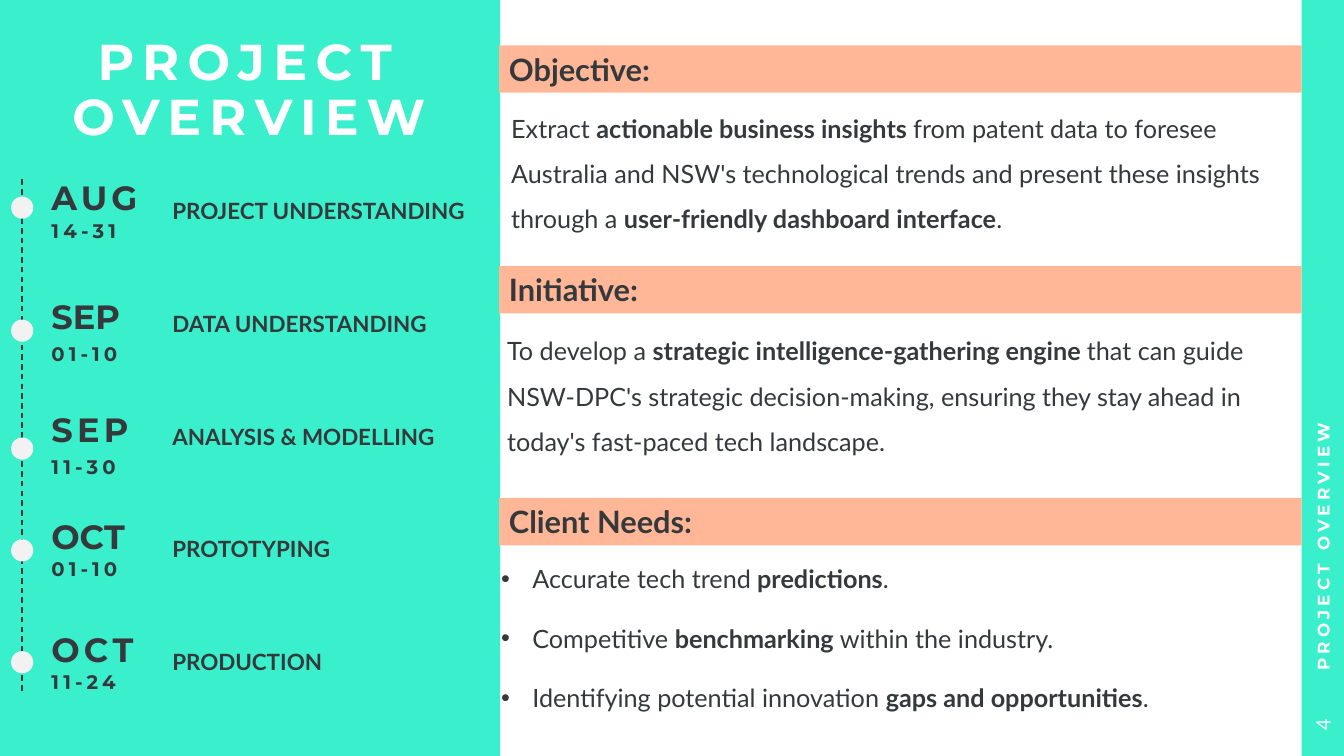
"""Build the project overview slide: timeline on the left, goals on the right."""
from lxml import etree
from pptx import Presentation
from pptx import util as u
from pptx.dml.color import RGBColor
from pptx.enum import dml, shapes, text
from pptx.oxml.ns import qn

MINT = RGBColor(0x3A, 0xEF, 0xCC)
PEACH = RGBColor(0xFF, 0xB7, 0x98)
INK = RGBColor(0x36, 0x39, 0x3B)
WHITE = RGBColor(0xFF, 0xFF, 0xFF)
PEARL = RGBColor(0xF2, 0xF2, 0xF2)
PX = 9144


def add_run(paragraph, words, size, font="Lato", color=INK, bold=False, spacing=0):
    run = paragraph.add_run()
    run.text = words
    run.font.size = u.Pt(size)
    run.font.name = font
    run.font.bold = bold
    run.font.color.rgb = color
    if spacing:
        run.font._element.set("spc", str(spacing * 100))


def add_block(left, top, width, height, fill, kind=shapes.MSO_SHAPE.RECTANGLE):
    block = slide.shapes.add_shape(kind, left * PX, top * PX, width * PX, height * PX)
    block.shadow.inherit = False
    block.fill.solid()
    block.fill.fore_color.rgb = fill
    block.line.fill.background()
    return block


deck = Presentation()
deck.slide_width, deck.slide_height = 1333 * PX, 750 * PX
slide = deck.slides.add_slide(deck.slide_layouts[5])

title = slide.shapes.title
for panel_left, panel_width in [(1291, 42), (0, 496)]:
    panel = add_block(panel_left, 0, panel_width, 750, MINT)
    title._element.addprevious(panel._element)

title.left, title.top, title.width, title.height = 42 * PX, 37 * PX, 410 * PX, 123 * PX
heading = title.text_frame
heading.auto_size = text.MSO_AUTO_SIZE.NONE
heading.vertical_anchor = text.MSO_ANCHOR.TOP
heading.margin_left = heading.margin_top = heading.margin_right = heading.margin_bottom = 0
heading_line = heading.paragraphs[0]
heading_line.alignment = text.PP_ALIGN.CENTER
heading_line.line_spacing = 0.9
add_run(heading_line, "PROJECT", 36, "Montserrat", WHITE, True, 6)
heading_line.add_line_break()
add_run(heading_line, "OVERVIEW", 36, "Montserrat", WHITE, True, 6)

sections = [
    ("Objective:", 45, (507, 97, 748, 158), False, [
        [("Extract ", False), ("actionable business insights ", True),
         ("from patent data to foresee Australia and NSW's technological trends "
          "and present these insights through a ", False),
         ("user-friendly dashboard interface", True), (".", False)]]),
    ("Initiative:", 264, (503, 318, 748, 179), False, [
        [("To develop a ", False), ("strategic intelligence-gathering engine ", True),
         ("that can guide NSW-DPC's strategic decision-making, ensuring they stay "
          "ahead in today's fast-paced tech landscape.", False)]]),
    ("Client Needs:", 494, (497, 544, 748, 168), True, [
        [("Accurate tech trend", False), (" predictions", True), (".", False)],
        [("Competitive ", False), ("benchmarking", True), (" within the industry.", False)],
        [("Identifying potential innovation ", False),
         ("gaps and opportunities", True), (".", False)]]),
]
for label, band_top, body_box, bulleted, paragraphs in sections:
    body = add_block(*body_box, WHITE).text_frame
    body.word_wrap = True
    body.vertical_anchor = text.MSO_ANCHOR.TOP
    body.margin_left = body.margin_top = body.margin_right = body.margin_bottom = 0
    for number, parts in enumerate(paragraphs):
        paragraph = body.add_paragraph() if number else body.paragraphs[0]
        paragraph.alignment = text.PP_ALIGN.LEFT
        paragraph.line_spacing = 1.5
        if number:
            paragraph.space_before = u.Pt(10)
        if bulleted:
            properties = paragraph._p.get_or_add_pPr()
            properties.set("marL", str(31 * PX))
            properties.set("indent", str(-31 * PX))
            etree.SubElement(properties, qn("a:buFont")).set("typeface", "Arial")
            etree.SubElement(properties, qn("a:buChar")).set("char", "•")
            paragraph.font.color.rgb = INK
        for words, bold in parts:
            add_run(paragraph, words, 18, bold=bold)

    band = add_block(495, band_top, 796, 47, PEACH).text_frame
    band.vertical_anchor = text.MSO_ANCHOR.TOP
    band.paragraphs[0].alignment = text.PP_ALIGN.LEFT
    add_run(band.paragraphs[0], label, 22, bold=True)

phases = [
    ("AUG", 3, 0, "14-31", "PROJECT UNDERSTANDING"),
    ("SEP", 0, 36, "01-10", "DATA UNDERSTANDING"),
    ("SEP", 3, 36, "11-30", "ANALYSIS & MODELLING"),
    ("OCT", 0, 0, "01-10", "PROTOTYPING"),
    ("OCT", 3, 18, "11-24", "PRODUCTION"),
]
schedule = slide.shapes.add_table(len(phases), 2, 41 * PX, 153 * PX, 451 * PX, 560 * PX).table
schedule.first_row = schedule.horz_banding = False
schedule._tbl.tblPr.find(qn("a:tableStyleId")).text = "{2D5ABB26-0587-4C30-8999-92F81FD0307C}"
schedule.columns[0].width, schedule.columns[1].width = 120 * PX, 331 * PX
for row, (month, spacing, space_size, days, phase) in enumerate(phases):
    schedule.rows[row].height = 112 * PX
    when, what = schedule.cell(row, 0), schedule.cell(row, 1)
    for cell in (when, what):
        cell.fill.background()
        cell.vertical_anchor = text.MSO_ANCHOR.MIDDLE
    month_line = when.text_frame.paragraphs[0]
    add_run(month_line, month, 24, "Montserrat", bold=True, spacing=spacing)
    if space_size:
        add_run(month_line, " ", space_size, "Montserrat", bold=True)
    add_run(when.text_frame.add_paragraph(), days, 14, "Montserrat", bold=True, spacing=3)
    add_run(what.text_frame.paragraphs[0], phase, 16, bold=True)

timeline = slide.shapes.add_connector(
    shapes.MSO_CONNECTOR.STRAIGHT, 22 * PX, 178 * PX, 22 * PX, 688 * PX)
timeline.line.color.rgb = INK
timeline.line.width = u.Pt(1)
timeline.line.dash_style = dml.MSO_LINE.DASH
etree.SubElement(timeline._element.spPr, qn("a:effectLst"))
for dot_top in (195, 317, 434, 535, 646):
    add_block(11, dot_top, 22, 22, PEARL, shapes.MSO_SHAPE.OVAL)

side_labels = [
    ("PROJECT OVERVIEW", 968, 323, 688, 23, text.PP_ALIGN.LEFT, 12, "Montserrat", True, 3),
    ("4", 1281, 698, 62, 10, text.PP_ALIGN.CENTER, 14, "Lato", False, 0),
]
for words, left, top, width, inset, align, size, font, bold, spacing in side_labels:
    side = slide.shapes.add_textbox(left * PX, top * PX, width * PX, 42 * PX)
    side.rotation = 270
    side.text_frame.word_wrap = True
    side.text_frame.vertical_anchor = text.MSO_ANCHOR.MIDDLE
    side.text_frame.margin_left = inset * PX
    side.text_frame.paragraphs[0].alignment = align
    add_run(side.text_frame.paragraphs[0], words, size, font, WHITE, bold, spacing)

deck.save("out.pptx")
